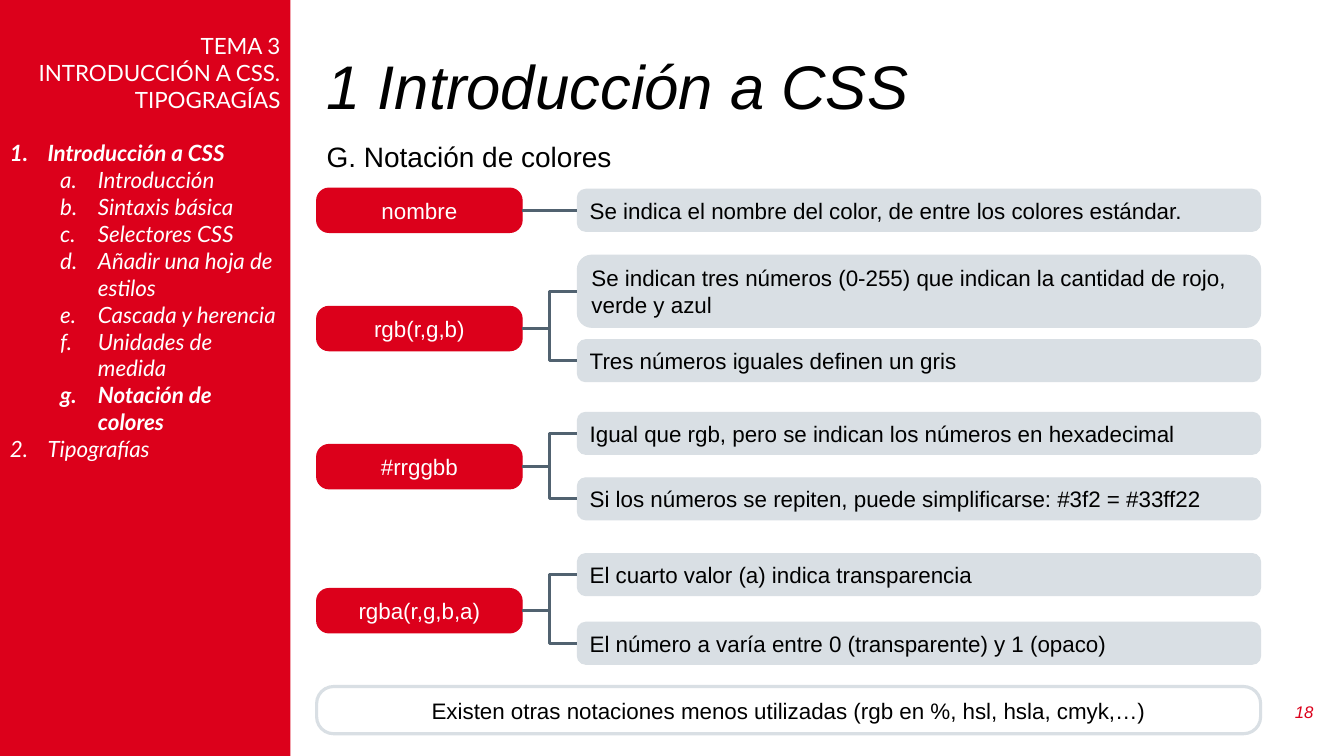
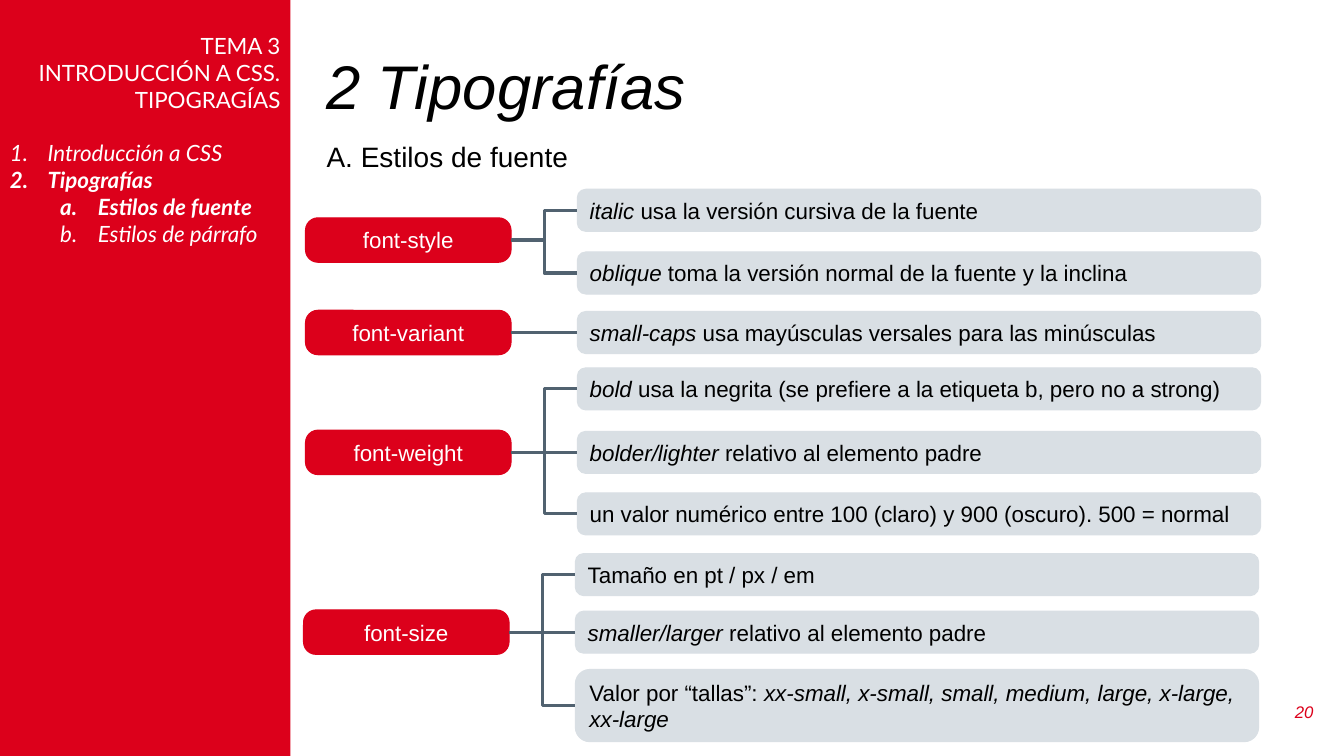
import pptx
import pptx.util
import pptx.dml.color
import pptx.enum.shapes
import pptx.enum.text
from lxml import etree

Cm, Pt = pptx.util.Cm, pptx.util.Pt
RGB = pptx.dml.color.RGBColor
SHAPE = pptx.enum.shapes.MSO_SHAPE
ELBOW = pptx.enum.shapes.MSO_CONNECTOR.ELBOW
ALIGN = pptx.enum.text.PP_ALIGN
ANCHOR = pptx.enum.text.MSO_ANCHOR

RED = RGB(0xDC, 0x00, 0x1B)
GREY = RGB(0xD9, 0xDF, 0xE4)
SLATE = RGB(0x51, 0x62, 0x70)
WHITE = RGB(0xFF, 0xFF, 0xFF)
BLACK = RGB(0x00, 0x00, 0x00)

BODY = dict(name="Arial", size=Pt(16), color=BLACK)
LABEL = dict(BODY, color=WHITE)
TITLE = dict(BODY, size=Pt(44), italic=True)
SUB = dict(BODY, size=Pt(20))
PAGE = dict(BODY, size=Pt(12), color=RED, italic=True)
MENU = dict(name="Lato", size=Pt(16), color=WHITE)

PANEL = (0, 0, 7.32, 19.05)
HEAD = (7.98, 1.27, 25.37, 1.98)
LEAD = (7.98, 3.38, 18.95, 1.12)
FOOT = (32.05, 17.42, 1.3, 1.02)
TOPIC = ["TEMA 3", "INTRODUCCIÓN A CSS. TIPOGRAGÍAS"]
TAG_W, TAG_H, LEAF_W = 5.18, 1.12, 17.22


def style(font, form):
    for key, value in form.items():
        if key == "color":
            font.color.rgb = value
        else:
            setattr(font, key, value)


def write(frame, text, form, align=ALIGN.LEFT, anchor=ANCHOR.MIDDLE):
    """Fill a frame; words between asterisks are italic, a newline starts a paragraph."""
    for key, value in dict(word_wrap=True, vertical_anchor=anchor).items():
        setattr(frame, key, value)
    for pos, line in enumerate(text.split("\n")):
        para = frame.paragraphs[0] if pos == 0 else frame.add_paragraph()
        para.alignment = align
        for part, words in enumerate(line.split("*")):
            if words:
                run = para.add_run()
                run.text = words
                style(run.font, dict(form, italic=True) if part % 2 else form)
    return frame


def label(slide, box, text, form, **place):
    frame = slide.shapes.add_textbox(*map(Cm, box)).text_frame
    return write(frame, text, form, **place)


def block(slide, box, kind, fill, line=None, width=0.75, curve=None):
    shape = slide.shapes.add_shape(kind, *map(Cm, box))
    shape.shadow.inherit = False
    if fill is None:
        shape.fill.background()
    else:
        shape.fill.solid()
        shape.fill.fore_color.rgb = fill
    if line is None:
        shape.line.fill.background()
    else:
        shape.line.color.rgb = line
        shape.line.width = Pt(width)
    if curve is not None:
        shape.adjustments[0] = curve
    return shape


def number(para, level):
    """Number a menu entry: 1. on the outer level, a. on the inner one."""
    para.level = level
    props = para._p.get_or_add_pPr()
    props.set("marL", str(Cm(2.22 if level else 0.95)))
    props.set("indent", str(Cm(-0.95)))
    mark = etree.SubElement(props, pptx.oxml.ns.qn("a:buAutoNum"))
    mark.set("type", "alphaLcPeriod" if level else "arabicPeriod")


def panel(slide, box, items):
    frame = block(slide, box, SHAPE.RECTANGLE, RED).text_frame
    frame.margin_top = Cm(0.81)
    write(frame, "\n".join(TOPIC), MENU, ALIGN.RIGHT, ANCHOR.TOP)
    for pos, (level, text, bold) in enumerate(items):
        para = frame.add_paragraph()
        para.alignment = ALIGN.LEFT
        if pos == 0:
            para.space_before = Pt(19.2)
        number(para, level)
        run = para.add_run()
        run.text = text
        style(run.font, dict(MENU, italic=True, bold=bold))


def join(slide, tag, leaf):
    """Draw an elbow from the right of a tag to the left of a leaf."""
    link = slide.shapes.add_connector(ELBOW, 0, 0, 0, 0)
    link.begin_x, link.begin_y = tag.left + tag.width, tag.top + tag.height // 2
    link.end_x, link.end_y = leaf.left, leaf.top + leaf.height // 2
    link.line.color.rgb = SLATE
    link.line.width = Pt(2.25)
    etree.SubElement(link._element.spPr, pptx.oxml.ns.qn("a:effectLst"))


def branch(slide, box, name, mid, leaves):
    """Place a tag centred at mid, and its leaves as (top, lines, text), in a box."""
    left, top, width = box
    spot = (left, top + mid - TAG_H / 2, TAG_W, TAG_H)
    tag = block(slide, spot, SHAPE.ROUNDED_RECTANGLE, RED, RED, curve=0.28)
    write(tag.text_frame, name, LABEL, ALIGN.CENTER)
    for drop, lines, text in leaves:
        spot = (left + width - LEAF_W, top + drop, LEAF_W, 0.3 + 0.76 * lines)
        leaf = block(slide, spot, SHAPE.ROUNDED_RECTANGLE, GREY, GREY, curve=0.2)
        write(leaf.text_frame, text, BODY)
        join(slide, tag, leaf)


def note(slide, box, text):
    shape = block(slide, box, SHAPE.ROUNDED_RECTANGLE, None, GREY, 2.25, 0.36)
    write(shape.text_frame, text, BODY, ALIGN.CENTER)


def page(deck, title, sub, count, items, trees):
    slide = deck.slides.add_slide(deck.slide_layouts[6])
    head = label(slide, HEAD, title, TITLE)
    head.paragraphs[0].line_spacing = 0.9
    panel(slide, PANEL, items)
    label(slide, FOOT, count, PAGE, align=ALIGN.RIGHT)
    label(slide, LEAD, sub, SUB, anchor=ANCHOR.TOP)
    for tree in trees:
        branch(slide, *tree)
    return slide


COLOR_MENU = [
    (0, "Introducción a CSS", True),
    (1, "Introducción", False),
    (1, "Sintaxis básica", False),
    (1, "Selectores CSS", False),
    (1, "Añadir una hoja de estilos", False),
    (1, "Cascada y herencia", False),
    (1, "Unidades de medida", False),
    (1, "Notación de colores", True),
    (0, "Tipografías", False),
]
COLORS = [
    ((7.98, 4.77, 23.79), "nombre", 0.53, [
        (0, 1, "Se indica el nombre del color, de entre los colores estándar."),
    ]),
    ((7.98, 6.43, 23.79), "rgb(r,g,b)", 1.85, [
        (0, 2, "Se indican tres números (0-255) que indican la cantidad de rojo, verde y azul"),
        (2.13, 1, "Tres números iguales definen un gris"),
    ]),
    ((7.98, 10.39, 23.79), "#rrggbb", 1.37, [
        (0, 1, "Igual que rgb, pero se indican los números en hexadecimal"),
        (1.65, 1, "Si los números se repiten, puede simplificarse: #3f2 = #33ff22"),
    ]),
    ((7.98, 13.95, 23.79), "rgba(r,g,b,a)", 1.44, [
        (0, 1, "El cuarto valor (a) indica transparencia"),
        (1.73, 1, "El número a varía entre 0 (transparente) y 1 (opaco)"),
    ]),
]
FONT_MENU = [
    (0, "Introducción a CSS", False),
    (0, "Tipografías", True),
    (1, "Estilos de fuente", True),
    (1, "Estilos de párrafo", False),
]
FONTS = [
    ((7.7, 4.77, 24.07), "font-style", 1.28, [
        (0, 1, "*italic* usa la versión cursiva de la fuente"),
        (1.58, 1, "*oblique* toma la versión normal de la fuente y la inclina"),
    ]),
    ((7.7, 7.85, 24.07), "font-variant", 0.53, [
        (0, 1, "*small-caps* usa mayúsculas versales para las minúsculas"),
    ]),
    ((7.7, 9.27, 24.07), "font-weight", 2.13, [
        (0, 1, "*bold* usa la negrita (se prefiere a la etiqueta b, pero no a strong)"),
        (1.6, 1, "*bolder/lighter* relativo al elemento padre"),
        (3.15, 1, "un valor numérico entre 100 (claro) y 900 (oscuro). 500 = normal"),
    ]),
    ((7.65, 13.95, 24.07), "font-size", 1.98, [
        (0, 1, "Tamaño en pt / px / em"),
        (1.45, 1, "*smaller/larger* relativo al elemento padre"),
        (2.92, 2, "Valor por “tallas”: *xx-small, x-small, small, medium, large, x-large,*\n"
                  "*xx-large*"),
    ]),
]


def main():
    deck = pptx.Presentation()
    deck.slide_width, deck.slide_height = Cm(33.87), Cm(19.05)
    slide = page(deck, "1 Introducción a CSS", "G. Notación de colores", "18",
                 COLOR_MENU, COLORS)
    note(slide, (7.98, 17.3, 23.79, 1.19),
         "Existen otras notaciones menos utilizadas (rgb en %, hsl, hsla, cmyk,…)")
    page(deck, "2 Tipografías", "A. Estilos de fuente", "20", FONT_MENU, FONTS)
    deck.save("out.pptx")


if __name__ == "__main__":
    main()
